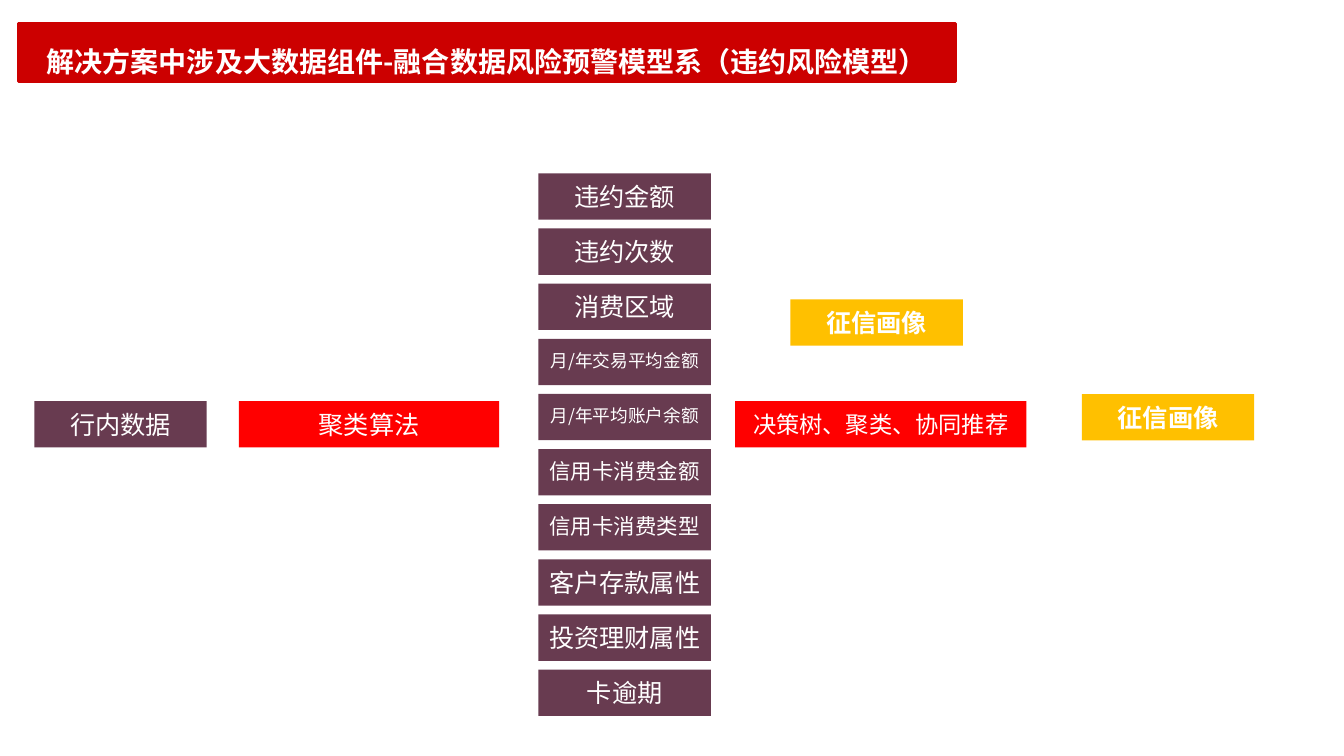
import pptx
import pptx.dml.color
import pptx.enum.shapes
import pptx.enum.text
import pptx.oxml
import pptx.oxml.ns
import pptx.util
from pptx.util import Inches

FONT = "Noto Sans CJK SC"
COLORS = {
    "title": "CC0000",
    "data": "683B50",
    "algorithm": "FF0000",
    "portrait": "FFC000",
    "text": "FFFFFF",
}
BOX_WIDTH, BOX_HEIGHT = 1.71, 0.46
FLOW_TOP = 3.98

# Indicators from top to bottom: text, size, line spacing
INDICATORS = [
    ("违约金额", 18, 1),
    ("违约次数", 18, 1),
    ("消费区域", 18, 1),
    ("月/年交易平均金额", 12.6, 0.8),
    ("月/年平均账户余额", 12.6, 0.8),
    ("信用卡消费金额", 15.3, 0.9),
    ("信用卡消费类型", 15.3, 0.9),
    ("客户存款属性", 18, 1),
    ("投资理财属性", 18, 1),
    ("卡逾期", 18, 1),
]
INDICATOR_LEFT, INDICATOR_TOP, INDICATOR_PITCH = 5.34, 1.72, 0.547


def rgb(name):
    return pptx.dml.color.RGBColor.from_string(COLORS[name])


def set_font(paragraph, size, bold):
    font = paragraph.font
    font.size = pptx.util.Pt(size)
    font.bold = bold
    font.color.rgb = rgb("text")
    font.name = FONT
    # Chinese characters take the East Asian typeface
    east_asian = pptx.oxml.parse_xml(
        f'<a:ea {pptx.oxml.ns.nsdecls("a")} typeface="{FONT}"/>')
    font._element.append(east_asian)


def add_box(slide, text, left, top, color, width=BOX_WIDTH, height=BOX_HEIGHT,
            size=18, bold=False, spacing=1):
    shape = slide.shapes.add_shape(
        pptx.enum.shapes.MSO_SHAPE.RECTANGLE,
        Inches(left), Inches(top), Inches(width), Inches(height))
    shape.shadow.inherit = False
    shape.fill.solid()
    shape.fill.fore_color.rgb = rgb(color)
    shape.line.fill.background()

    frame = shape.text_frame
    frame.word_wrap = True
    frame.vertical_anchor = pptx.enum.text.MSO_ANCHOR.MIDDLE
    paragraph = frame.paragraphs[0]
    paragraph.text = text
    paragraph.alignment = pptx.enum.text.PP_ALIGN.CENTER
    paragraph.line_spacing = spacing
    set_font(paragraph, size, bold)
    return shape


def add_title(slide, text):
    banner = add_box(slide, text, 0.18, 0.23, "title", 9.3, 0.58,
                     size=20, bold=True, spacing=1.5)
    banner.line.color.rgb = rgb("title")
    banner.line.width = pptx.util.Pt(2)


def add_indicators(slide):
    for row, (text, size, spacing) in enumerate(INDICATORS):
        add_box(slide, text, INDICATOR_LEFT,
                INDICATOR_TOP + row * INDICATOR_PITCH, "data",
                size=size, spacing=spacing)


def main():
    presentation = pptx.Presentation()
    presentation.slide_width = Inches(13.33)
    presentation.slide_height = Inches(7.5)
    slide = presentation.slides.add_slide(presentation.slide_layouts[6])

    add_title(slide, "解决方案中涉及大数据组件-融合数据风险预警模型系（违约风险模型）")

    # Source data and clustering
    add_box(slide, "行内数据", 0.34, FLOW_TOP, "data")
    add_box(slide, "聚类算法", 2.37, FLOW_TOP, "algorithm", width=2.58)

    add_indicators(slide)

    # Models and resulting credit portraits
    add_box(slide, "决策树、聚类、协同推荐", 7.29, FLOW_TOP, "algorithm",
            width=2.89, size=16.6)
    for left, top in [(7.84, 2.97), (10.73, 3.91)]:
        add_box(slide, "征信画像", left, top, "portrait", bold=True)

    presentation.save("out.pptx")


if __name__ == "__main__":
    main()
